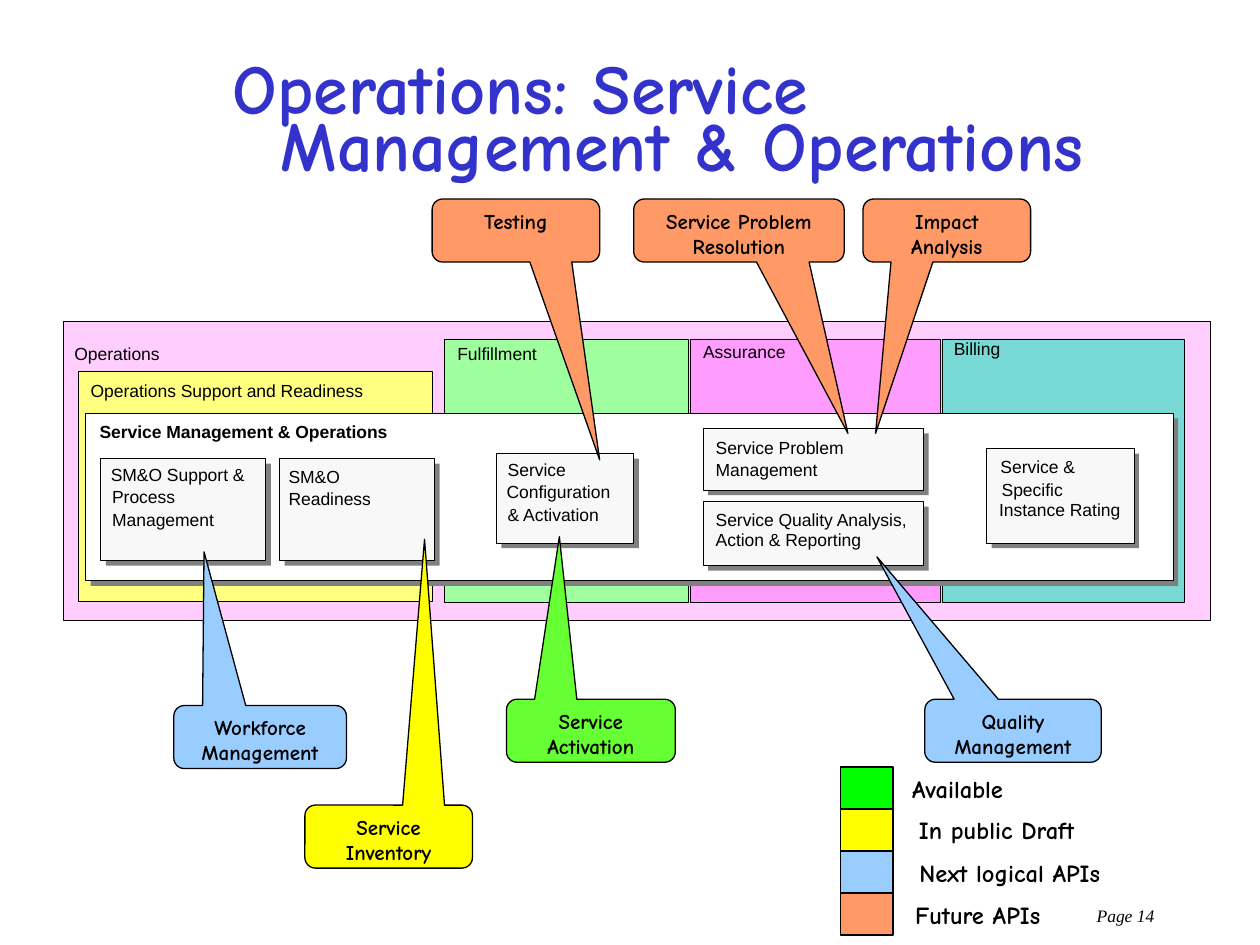
from dataclasses import dataclass

from pptx import Presentation
from pptx.dml.color import RGBColor
from pptx.enum.shapes import MSO_SHAPE
from pptx.enum.text import MSO_ANCHOR, PP_ALIGN
from pptx.util import Inches, Pt

COLORS = {
    "black": "000000", "white": "FFFFFF", "shadow": "808080", "box": "F8F8F8",
    "title": "3333CC", "operations": "FFCEFF", "fulfillment": "9FFF9F",
    "assurance": "FF9DFF", "billing": "79D9D5", "readiness": "FFFF80",
    "available": "00FF00", "activation": "66FF33", "draft": "FFFF00",
    "next": "99CCFF", "future": "FF9966",
}
COMIC = "Comic Neue"
SHADOW_OFFSET = 0.04
LABEL_HEIGHT = 0.17
SLACK = 0.1


@dataclass
class Label:
    text: str
    x: float
    y: float
    w: float
    bold: bool = False


@dataclass
class Panel:
    x: float
    y: float
    w: float
    h: float
    color: str
    labels: list[Label]
    shadow: bool = False


@dataclass
class Callout:
    lines: list[str]
    x: float
    y: float
    w: float
    color: str
    tip: tuple[float, float]


@dataclass
class LegendItem:
    text: str
    x: float
    w: float
    color: str


PANELS = [
    Panel(0.5, 2.55, 9.11, 2.37, "operations", [Label("Operations", 0.59, 2.72, 0.68)]),
    Panel(3.53, 2.69, 1.93, 2.09, "fulfillment", [Label("Fulfillment", 3.63, 2.72, 0.63)]),
    Panel(5.48, 2.69, 1.98, 2.09, "assurance", [Label("Assurance", 5.58, 2.71, 0.65)]),
    Panel(7.48, 2.69, 1.92, 2.09, "billing", [Label("Billing", 7.57, 2.68, 0.37)]),
    Panel(0.62, 2.95, 2.81, 1.82, "readiness",
          [Label("Operations Support and Readiness", 0.72, 3.02, 2.16)]),
    Panel(0.68, 3.28, 8.63, 1.33, "white",
          [Label("Service Management & Operations", 0.79, 3.34, 2.28, True)], True),
    Panel(0.8, 3.64, 1.31, 0.81, "box",
          [Label("SM&O Support &", 0.88, 3.68, 1.06), Label("Process", 0.89, 3.86, 0.5),
           Label("Management", 0.89, 4.04, 0.81)], True),
    Panel(3.94, 3.6, 1.09, 0.71, "box",
          [Label("Service", 4.03, 3.64, 0.46), Label("Configuration", 4.02, 3.82, 0.82),
           Label("& Activation", 4.03, 4, 0.73)], True),
    Panel(5.58, 3.98, 1.75, 0.51, "box",
          [Label("Service Quality Analysis,", 5.68, 4.04, 1.52),
           Label("Action & Reporting", 5.68, 4.2, 1.15)], True),
    Panel(5.58, 3.4, 1.75, 0.49, "box",
          [Label("Service Problem", 5.68, 3.47, 1.02),
           Label("Management", 5.68, 3.64, 0.81)], True),
    Panel(7.83, 3.56, 1.17, 0.75, "box",
          [Label("Service &", 7.94, 3.62, 0.59), Label("Specific", 7.95, 3.8, 0.49),
           Label("Instance Rating", 7.93, 3.96, 0.96)], True),
    Panel(2.22, 3.64, 1.23, 0.81, "box",
          [Label("SM&O", 2.29, 3.7, 0.41), Label("Readiness", 2.29, 3.87, 0.65)], True),
]
CALLOUTS = [
    Callout(["Service Inventory"], 2.42, 6.39, 1.33, "draft", (3.37, 4.28)),
    Callout(["Service Activation"], 4.02, 5.55, 1.34, "activation", (4.44, 4.26)),
    Callout(["Testing"], 3.43, 1.58, 1.33, "future", (4.76, 3.65)),
    Callout(["Service Problem Resolution"], 5.03, 1.58, 1.67, "future", (6.73, 3.44)),
    Callout(["Impact", "Analysis"], 6.85, 1.58, 1.33, "future", (6.95, 3.44)),
    Callout(["Quality Management"], 7.34, 5.55, 1.4, "next", (6.96, 4.42)),
    Callout(["Workforce Management"], 1.38, 5.6, 1.37, "next", (1.62, 4.38)),
]
LEGEND = [
    LegendItem("Available", 7.14, 0.92, "available"),
    LegendItem("In public Draft", 7.19, 1.44, "draft"),
    LegendItem("Next logical APIs", 7.2, 1.63, "next"),
    LegendItem("Future APIs", 7.16, 1.2, "future"),
]


def rgb(name: str) -> RGBColor:
    return RGBColor.from_string(COLORS[name])


def add_run(p, text: str, font: str, size: float, bold: bool = False,
            italic: bool = False, color: str = "black") -> None:
    r = p.add_run()
    r.text = text
    r.font.name, r.font.size = font, Pt(size)
    r.font.bold, r.font.italic = bold, italic
    r.font.color.rgb = rgb(color)


def add_box(s, kind, x: float, y: float, w: float, h: float, color: str, line: float = 0):
    sp = s.shapes.add_shape(kind, Inches(x), Inches(y), Inches(w), Inches(h))
    sp.shadow.inherit = False
    sp.fill.solid()
    sp.fill.fore_color.rgb = rgb(color)
    if line:
        sp.line.color.rgb = rgb("black")
        sp.line.width = Pt(line)
    else:
        sp.line.fill.background()
    return sp


def add_text(s, x: float, y: float, w: float, h: float):
    tf = s.shapes.add_textbox(Inches(x), Inches(y), Inches(w), Inches(h)).text_frame
    tf.word_wrap = True
    return tf


def add_panel(s, panel: Panel) -> None:
    if panel.shadow:
        add_box(s, MSO_SHAPE.RECTANGLE, panel.x + SHADOW_OFFSET, panel.y + SHADOW_OFFSET,
                panel.w, panel.h, "shadow")
    add_box(s, MSO_SHAPE.RECTANGLE, panel.x, panel.y, panel.w, panel.h, panel.color, 0.37)
    for label in panel.labels:
        tf = add_text(s, label.x, label.y, label.w + SLACK, LABEL_HEIGHT)
        tf.margin_left = tf.margin_right = tf.margin_top = tf.margin_bottom = 0
        add_run(tf.paragraphs[0], label.text, "Arial", 10, label.bold)


def add_callout(s, c: Callout) -> None:
    h = 0.5
    sp = add_box(s, MSO_SHAPE.ROUNDED_RECTANGULAR_CALLOUT, c.x, c.y, c.w, h, c.color, 0.75)
    sp.adjustments[0] = (c.tip[0] - c.x) / c.w - 0.5
    sp.adjustments[1] = (c.tip[1] - c.y) / h - 0.5
    tf = sp.text_frame
    tf.word_wrap = True
    tf.vertical_anchor = MSO_ANCHOR.TOP
    for i, line in enumerate(c.lines):
        p = tf.add_paragraph() if i else tf.paragraphs[0]
        p.alignment = PP_ALIGN.CENTER
        add_run(p, line, COMIC, 12, True)


def add_legend(s, items: list[LegendItem]) -> None:
    step = 1 / 3
    for i, item in enumerate(items):
        y = 6.09 + i * step
        add_box(s, MSO_SHAPE.RECTANGLE, 6.67, y, 0.42, step, item.color, 1)
        p = add_text(s, item.x - SLACK / 2, y, item.w + SLACK, 0.34).paragraphs[0]
        p.alignment = PP_ALIGN.CENTER
        add_run(p, item.text, COMIC, 14, True)


def add_title(s, text: str) -> None:
    tf = add_text(s, 1.75, 0.5, 7.83, 1)
    tf.vertical_anchor = MSO_ANCHOR.MIDDLE
    p = tf.paragraphs[0]
    p.line_spacing, p.space_before = 0.68, Pt(10)
    pPr = p._p.get_or_add_pPr()
    pPr.set("marL", str(Inches(0.38)))
    pPr.set("indent", str(Inches(-0.38)))
    add_run(p, text, COMIC, 40, True, color="title")


def add_page_number(s, text: str) -> None:
    tf = add_text(s, 1.67, 7.13, 7.69, 0.27)
    tf.margin_right = Inches(0.2)
    p = tf.paragraphs[0]
    p.alignment = PP_ALIGN.RIGHT
    add_run(p, text, "Times New Roman", 10, italic=True)


def main() -> None:
    """Build the service management and operations slide."""
    prs = Presentation()
    prs.slide_width, prs.slide_height = Inches(10), Inches(7.5)
    s = prs.slides.add_slide(prs.slide_layouts[6])
    add_page_number(s, "Page 14")
    for panel in PANELS:
        add_panel(s, panel)
    for callout in CALLOUTS:
        add_callout(s, callout)
    add_title(s, "Operations: Service Management & Operations")
    add_legend(s, LEGEND)
    prs.save("out.pptx")


if __name__ == "__main__":
    main()
